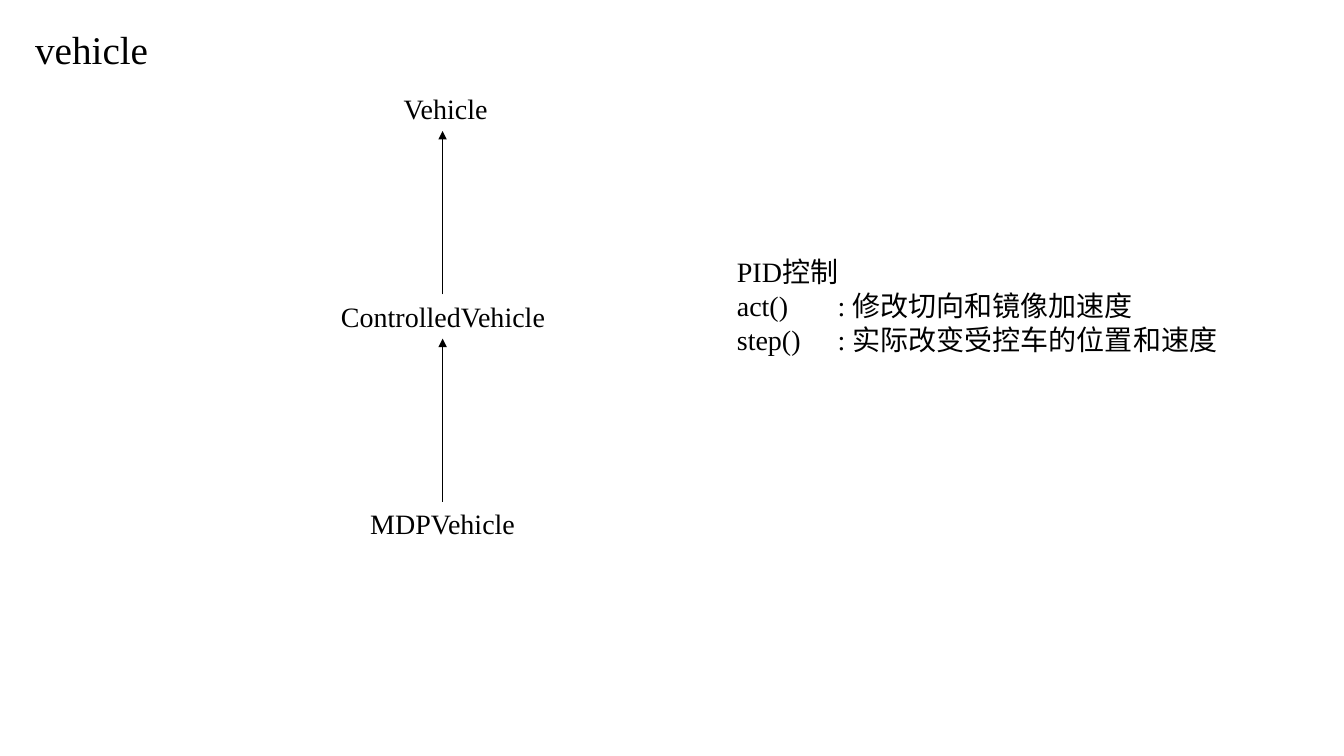
from lxml import etree
from pptx import Presentation
from pptx.dml.color import RGBColor
from pptx.enum.shapes import MSO_CONNECTOR
from pptx.enum.text import MSO_AUTO_SIZE, PP_ALIGN
from pptx.oxml.ns import qn
from pptx.util import Inches, Pt

BLACK = RGBColor(0, 0, 0)
FONT = "Times New Roman"
STRAIGHT = MSO_CONNECTOR.STRAIGHT
FIT_SHAPE = MSO_AUTO_SIZE.SHAPE_TO_FIT_TEXT
LEFT, CENTER = PP_ALIGN.LEFT, PP_ALIGN.CENTER

AXIS_X = 4.39
LABEL_HEIGHT = 0.44
FIRST_TOP = 0.86
LEVEL_STEP = 2.06
CLASSES = [
    ("Vehicle", 3.32, 2.2),
    ("ControlledVehicle", 3.18, 2.43),
    ("MDPVehicle", 3.29, 2.2),
]
CONTROL_NOTES = [
    "PID控制",
    "act()\t: 修改切向和镜像加速度",
    "step()\t: 实际改变受控车的位置和速度",
]


def add_text(slide, lines, left, top, width, height, size=20, align=LEFT):
    sp = slide.shapes.add_textbox(
        Inches(left), Inches(top), Inches(width), Inches(height))
    tf = sp.text_frame
    tf.word_wrap = True
    tf.auto_size = FIT_SHAPE
    tf.text = "\n".join(lines)
    for p in tf.paragraphs:
        p.alignment = align
        for r in p.runs:
            r.font.name = FONT
            r.font.size = Pt(size)
            r.font.color.rgb = BLACK


def add_up_arrow(slide, x, bottom, top):
    line = slide.shapes.add_connector(
        STRAIGHT, Inches(x), Inches(bottom), Inches(x), Inches(top))
    line.line.color.rgb = BLACK
    line.line.width = Pt(1)
    ln = line.line._get_or_add_ln()
    etree.SubElement(ln, qn("a:tailEnd"), type="triangle")
    etree.SubElement(line._element.spPr, qn("a:effectLst"))


def add_class_hierarchy(slide):
    for level, (name, left, width) in enumerate(CLASSES):
        top = FIRST_TOP + level * LEVEL_STEP
        add_text(slide, [name], left, top, width, LABEL_HEIGHT, align=CENTER)
        if level:
            parent_bottom = top - LEVEL_STEP + LABEL_HEIGHT
            add_up_arrow(slide, AXIS_X, top, parent_bottom)


def main():
    prs = Presentation()
    prs.slide_width = Inches(13.33)
    prs.slide_height = Inches(7.5)
    slide = prs.slides.add_slide(prs.slide_layouts[6])
    add_text(slide, ["vehicle"], 0.25, 0.2, 1.61, 0.57, size=28)
    add_class_hierarchy(slide)
    add_text(slide, CONTROL_NOTES, 7.21, 2.48, 5.12, 1.11)
    prs.save("out.pptx")


if __name__ == "__main__":
    main()
